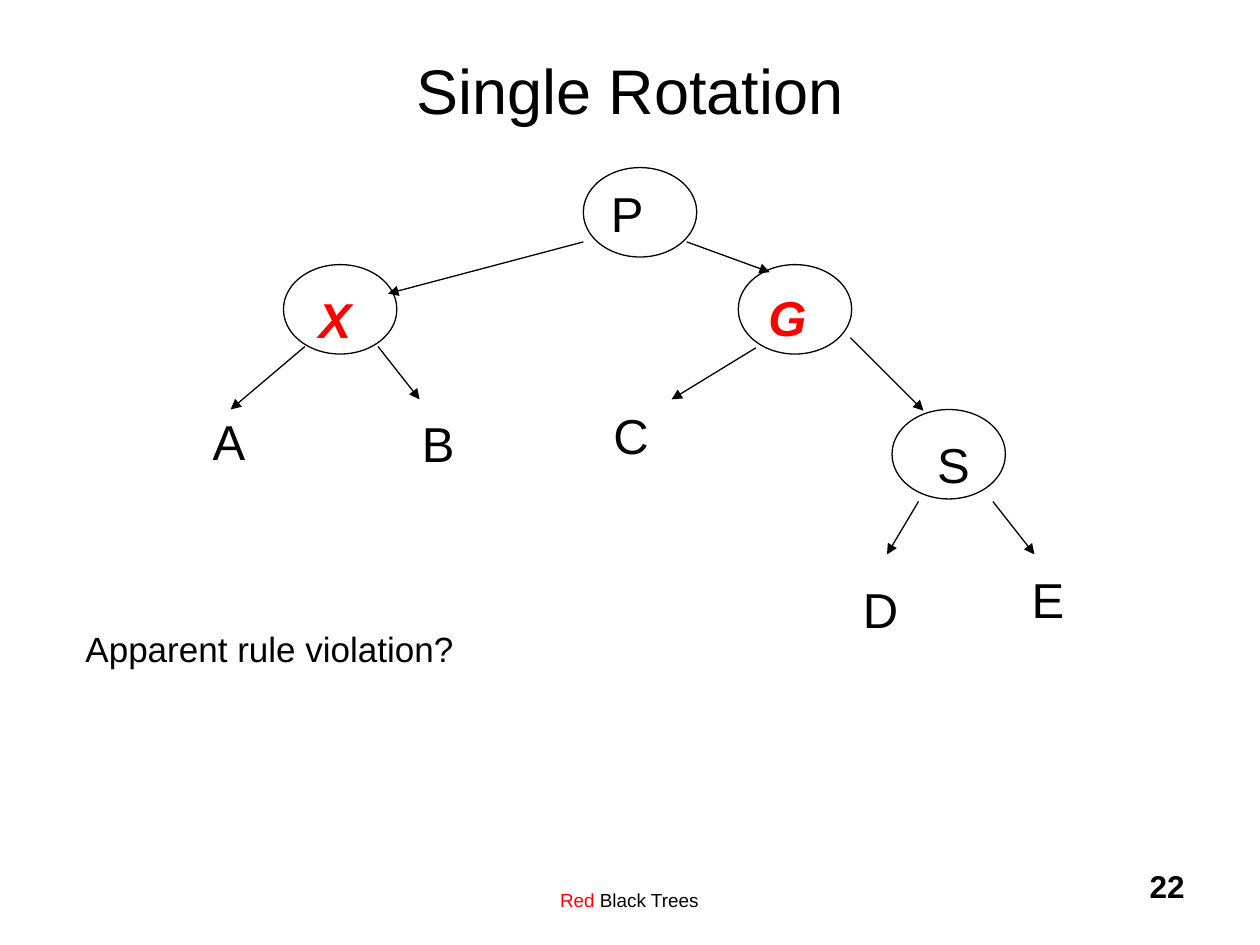
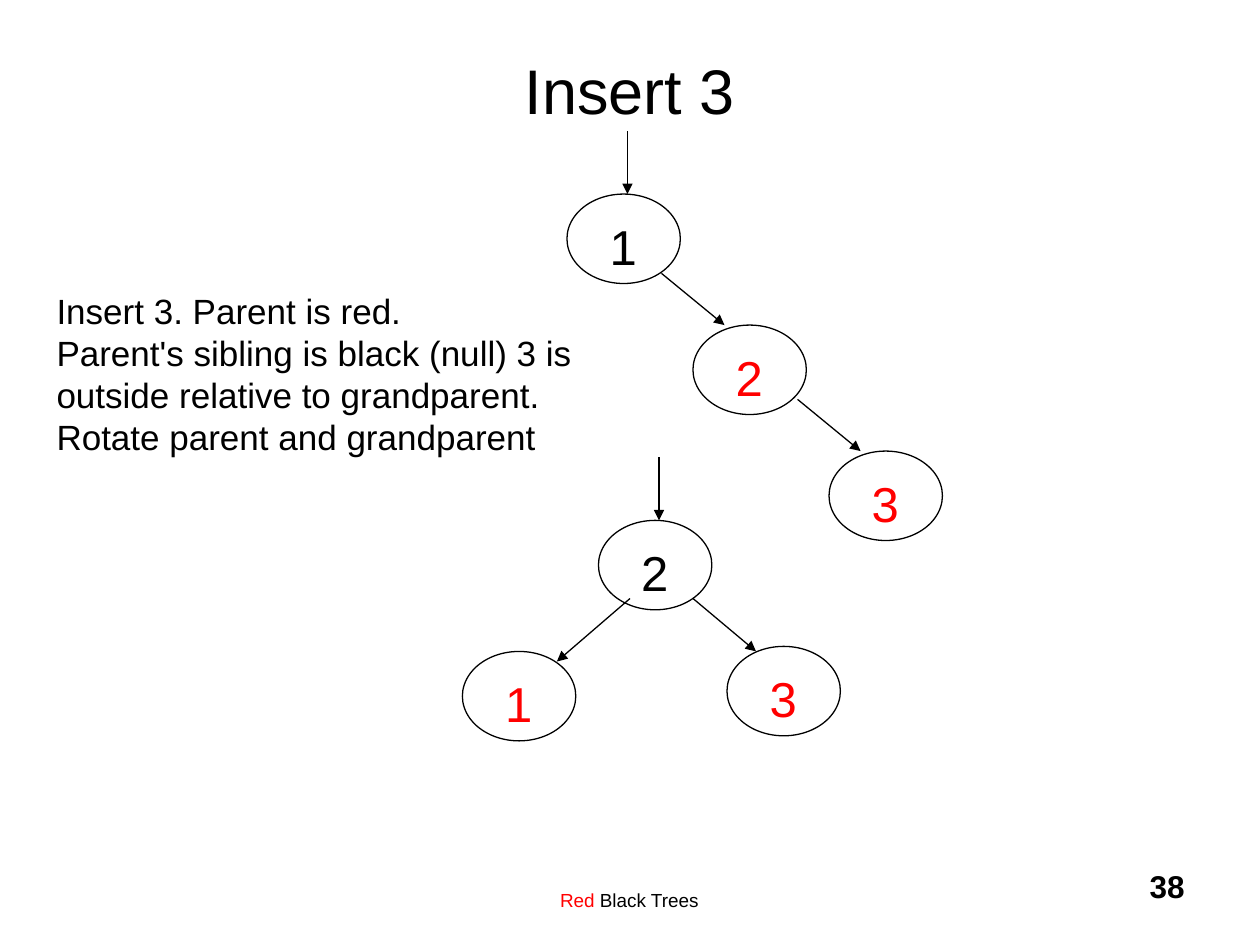
from pptx import Presentation
from pptx.dml.color import RGBColor
from pptx.enum.shapes import MSO_CONNECTOR as Connector, MSO_SHAPE as Shape
from pptx.enum.text import MSO_ANCHOR as Anchor, PP_ALIGN as Align
from pptx.oxml.ns import qn
from pptx.util import Inches, Pt
from lxml.etree import SubElement

THEME = {
    "font": "Arial",
    "black": RGBColor(0, 0, 0),
    "red": RGBColor(255, 0, 0),
    "title": 36,
    "label": 28,
    "note": 20,
    "number": 18,
    "footer": 10.8,
    "line": 0.75,
}
NODE_SIZE = (0.9, 0.71)
LABEL_HEIGHT = 0.57
LABEL_WIDTHS = {"C": 0.48, "D": 0.48, "G": 0.5, "1": 0.41, "2": 0.41, "3": 0.41}
DIGIT_OFFSET = (0.24, 0.13)
EMPHASIS = {"bold": True, "italic": True}

# Nodes: text, left, top, colour, label offset, font format
# Leaves: text, left, top
# Arrows: start x, start y, end x, end y
PAGES = [
    {
        "title": "Single Rotation",
        "number": "22",
        "nodes": [
            ("P", 4.63, 1.33, "black", (0.12, 0.08), {}),
            ("X", 2.25, 2.1, "red", (0.18, 0.15), EMPHASIS),
            ("G", 5.86, 2.1, "red", (0.14, 0.13), EMPHASIS),
            ("S", 7.08, 3.25, "black", (0.26, 0.15), {}),
        ],
        "leaves": [
            ("A", 1.59, 3.22), ("B", 3.25, 3.23), ("C", 4.77, 3.17),
            ("D", 6.75, 4.55), ("E", 8.09, 4.47),
        ],
        "arrows": [
            (4.63, 1.92, 3.08, 2.33), (5.45, 1.92, 6.11, 2.16),
            (6.75, 2.68, 7.33, 3.26), (6, 2.76, 5.33, 3.17),
            (2.42, 2.75, 1.83, 3.25), (3, 2.75, 3.33, 3.17),
            (7.29, 3.98, 7.04, 4.4), (7.88, 3.98, 8.21, 4.4),
        ],
        "note": ("Apparent rule violation?", (0.58, 4.93, 3.2, 0.44)),
    },
    {
        "title": "Insert 3",
        "number": "38",
        "nodes": [
            ("1", 4.5, 1.54, "black", DIGIT_OFFSET, {}),
            ("2", 5.5, 2.58, "red", DIGIT_OFFSET, {}),
            ("3", 6.58, 3.58, "red", DIGIT_OFFSET, {}),
            ("2", 4.75, 4.13, "black", DIGIT_OFFSET, {}),
            ("1", 3.67, 5.17, "red", DIGIT_OFFSET, {}),
            ("3", 5.77, 5.13, "red", DIGIT_OFFSET, {}),
        ],
        "leaves": [],
        "arrows": [
            (4.98, 1.04, 4.98, 1.54), (5.25, 2.17, 5.75, 2.58),
            (6.33, 3.17, 6.83, 3.58), (5.23, 3.63, 5.23, 4.13),
            (5.5, 4.75, 6, 5.17), (5, 4.75, 4.42, 5.25),
        ],
        "note": (
            "Insert 3. Parent is red.\vParent's sibling is black (null) 3 is "
            "outside relative to grandparent. Rotate parent and grandparent",
            (0.35, 2.25, 4.32, 1.44),
        ),
    },
]


def add_text(shapes, place, pieces, size, align=Align.LEFT, anchor=Anchor.TOP,
             wrap=True, **style):
    """Add a one-paragraph text box; pieces are (text, colour name) pairs."""
    box = shapes.add_textbox(*map(Inches, place))
    frame = box.text_frame
    frame.word_wrap = wrap
    frame.vertical_anchor = anchor
    para = frame.paragraphs[0]
    para.alignment = align
    for text, color in pieces:
        for index, line in enumerate(text.split("\v")):
            if index:
                para.add_line_break()
            span = para.add_run()
            span.text = line
            span.font.color.rgb = THEME[color]
            values = {"name": THEME["font"], "size": Pt(THEME[size]), **style}
            for name, value in values.items():
                setattr(span.font, name, value)


def add_label(shapes, text, left, top, color="black", **style):
    """Add the letter or digit of a tree node."""
    place = (left, top, LABEL_WIDTHS.get(text, 0.46), LABEL_HEIGHT)
    add_text(shapes, place, [(text, color)], "label", wrap=False, **style)


deck = Presentation()
deck.slide_width, deck.slide_height = Inches(10), Inches(7.5)

for content in PAGES:
    page = deck.slides.add_slide(deck.slide_layouts[6])

    # Footer, page number and title
    add_text(page.shapes, (3.08, 7, 3.83, 0.33),
             [("Red", "red"), (" Black Trees", "black")], "footer", Align.CENTER)
    add_text(page.shapes, (7.42, 6.83, 2.08, 0.5),
             [(content["number"], "black")], "number", Align.RIGHT, bold=True)
    add_text(page.shapes, (0.75, 0.08, 8.5, 1.25),
             [(content["title"], "black")], "title", Align.CENTER, Anchor.MIDDLE)

    # Circled nodes, each grouped with its label
    for text, left, top, color, (across, down), style in content["nodes"]:
        node = page.shapes.add_group_shape()
        circle = node.shapes.add_shape(
            Shape.OVAL, *map(Inches, (left, top, *NODE_SIZE)))
        circle.shadow.inherit = False
        circle.fill.background()
        circle.line.color.rgb = THEME["black"]
        circle.line.width = Pt(THEME["line"])
        add_label(node.shapes, text, left + across, top + down, color, **style)

    # Subtree letters
    for leaf in content["leaves"]:
        add_label(page.shapes, *leaf)

    # Arrows from parent to child
    for ends in content["arrows"]:
        arrow = page.shapes.add_connector(Connector.STRAIGHT, *map(Inches, ends))
        arrow.line.color.rgb = THEME["black"]
        arrow.line.width = Pt(THEME["line"])
        SubElement(arrow.line._get_or_add_ln(), qn("a:tailEnd"), type="triangle")
        SubElement(arrow._element.spPr, qn("a:effectLst"))

    # Explanation
    note, place = content["note"]
    add_text(page.shapes, place, [(note, "black")], "note")

deck.save("out.pptx")
